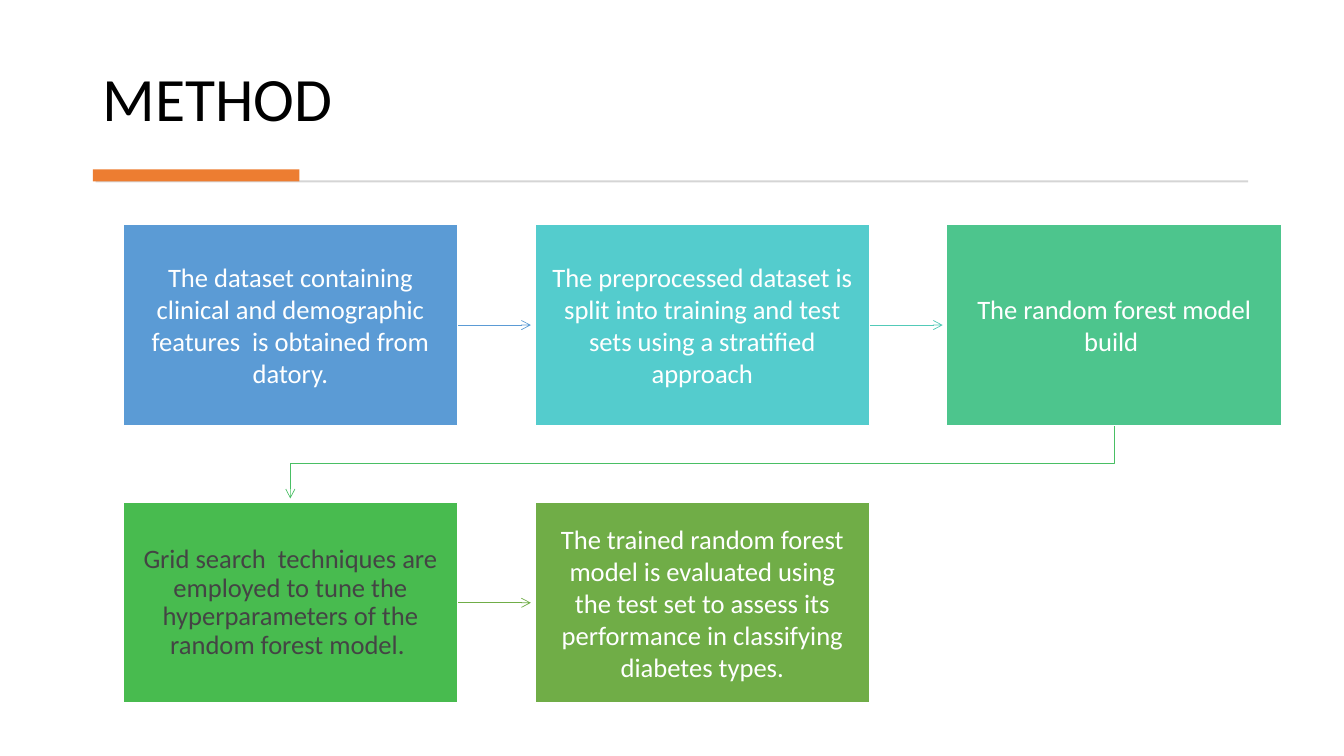
from lxml import etree
from pptx import Presentation
from pptx.dml.color import RGBColor
from pptx.enum.shapes import MSO_CONNECTOR, MSO_SHAPE
from pptx.enum.text import MSO_ANCHOR, PP_ALIGN
from pptx.oxml.ns import qn
from pptx.util import Inches, Pt

RECTANGLE = MSO_SHAPE.RECTANGLE
STRAIGHT = MSO_CONNECTOR.STRAIGHT
MIDDLE, BOTTOM = MSO_ANCHOR.MIDDLE, MSO_ANCHOR.BOTTOM
CENTER, LEFT = PP_ALIGN.CENTER, PP_ALIGN.LEFT
FONT = "Calibri"

COLUMNS = 3
STEP_WIDTH, STEP_HEIGHT = 3.32, 1.99
COLUMN_PITCH, ROW_PITCH = 4.085, 2.755
ARROW_GAP = 0.04

# Step text, fill, text colour, line spacing, colour of the arrow leading on
STEPS = [
    ("The dataset containing clinical and demographic features  is obtained from datory.",
     "5B9BD5", "FFFFFF", 1.0, "5B9BD5"),
    ("The preprocessed dataset is split into training and test sets using a stratified approach",
     "54CCCD", "FFFFFF", 1.0, "52CAB8"),
    ("The random forest model build ",
     "4DC58D", "FFFFFF", 1.0, "49BF64"),
    ("Grid search  techniques are employed to tune the hyperparameters of the random forest model. ",
     "48BB4F", "444444", 0.9, "70AD47"),
    ("The trained random forest model is evaluated using the test set to assess its "
     "performance in classifying diabetes types.",
     "70AD47", "FFFFFF", 1.0, None),
]


def color(value):
    return RGBColor.from_string(value)


def add_rectangle(page, left, top, width, height, fill):
    box = page.shapes.add_shape(RECTANGLE, Inches(left), Inches(top), Inches(width), Inches(height))
    box.shadow.inherit = False
    box.fill.solid()
    box.fill.fore_color.rgb = color(fill)
    box.line.fill.background()
    return box


def set_text(box, text, size, ink, align, anchor, spacing):
    frame = box.text_frame
    frame.word_wrap = True
    frame.vertical_anchor = anchor
    para = frame.paragraphs[0]
    para.text = text
    para.alignment = align
    para.line_spacing = spacing
    para.font.name = FONT
    para.font.size = Pt(size)
    para.font.color.rgb = color(ink)


def style_arrow(arrow, ink):
    arrow.line.color.rgb = color(ink)
    arrow.line.width = Pt(0.5)
    outline = arrow._element.spPr.find(qn("a:ln"))
    etree.SubElement(outline, qn("a:tailEnd"), type="arrow")


def add_title(page, left, top, width, height):
    box = page.shapes.add_textbox(Inches(left), Inches(top), Inches(width), Inches(height))
    set_text(box, "METHOD", 44, "000000", LEFT, BOTTOM, 0.9)
    # Thin rule with a short accent bar
    add_rectangle(page, left + 0.03, top + 1.51, width - 0.06, 0.02, "D5D5D5")
    add_rectangle(page, left, top + 1.4, 2.05, 0.12, "ED7D31")


def add_straight_arrow(page, left, top, width, ink):
    arrow = page.shapes.add_connector(
        STRAIGHT, Inches(left), Inches(top), Inches(left + width), Inches(top))
    style_arrow(arrow, ink)
    etree.SubElement(arrow._element.spPr, qn("a:effectLst"))


def add_return_arrow(page, start_x, start_y, end_x, end_y, ink):
    bend_y = start_y + 0.38
    points = [(start_x, bend_y), (end_x, bend_y), (end_x, end_y)]
    builder = page.shapes.build_freeform(Inches(start_x), Inches(start_y))
    builder.add_line_segments([(Inches(x), Inches(y)) for x, y in points], close=False)
    arrow = builder.convert_to_shape()
    arrow.shadow.inherit = False
    arrow.fill.background()
    style_arrow(arrow, ink)


def add_step(page, left, top, text, fill, ink, spacing):
    box = add_rectangle(page, left, top, STEP_WIDTH, STEP_HEIGHT, fill)
    box.line.color.rgb = color("FFFFFF")
    box.line.width = Pt(1)
    set_text(box, text, 19, ink, CENTER, MIDDLE, spacing)
    frame = box.text_frame
    frame.margin_left = frame.margin_right = Inches(0.16)
    frame.margin_top = frame.margin_bottom = Inches(0.17)


def add_process(page, left, top):
    for index, (text, fill, ink, spacing, arrow_ink) in enumerate(STEPS):
        row, column = divmod(index, COLUMNS)
        x = left + column * COLUMN_PITCH
        y = top + row * ROW_PITCH
        # Arrow to the next step, wrapping to the next row after the last column
        if arrow_ink and column == COLUMNS - 1:
            add_return_arrow(page, x + STEP_WIDTH / 2, y + STEP_HEIGHT,
                             left + STEP_WIDTH / 2, y + ROW_PITCH - ARROW_GAP, arrow_ink)
        elif arrow_ink:
            add_straight_arrow(page, x + STEP_WIDTH, y + STEP_HEIGHT / 2,
                               COLUMN_PITCH - STEP_WIDTH - ARROW_GAP, arrow_ink)
        add_step(page, x, y, text, fill, ink, spacing)


def main():
    deck = Presentation()
    deck.slide_width, deck.slide_height = Inches(13.33), Inches(7.5)
    page = deck.slides.add_slide(deck.slide_layouts[6])
    add_title(page, 0.92, 0.28, 11.49, 1.11)
    add_process(page, 1.22, 2.23)
    deck.save("out.pptx")


if __name__ == "__main__":
    main()
